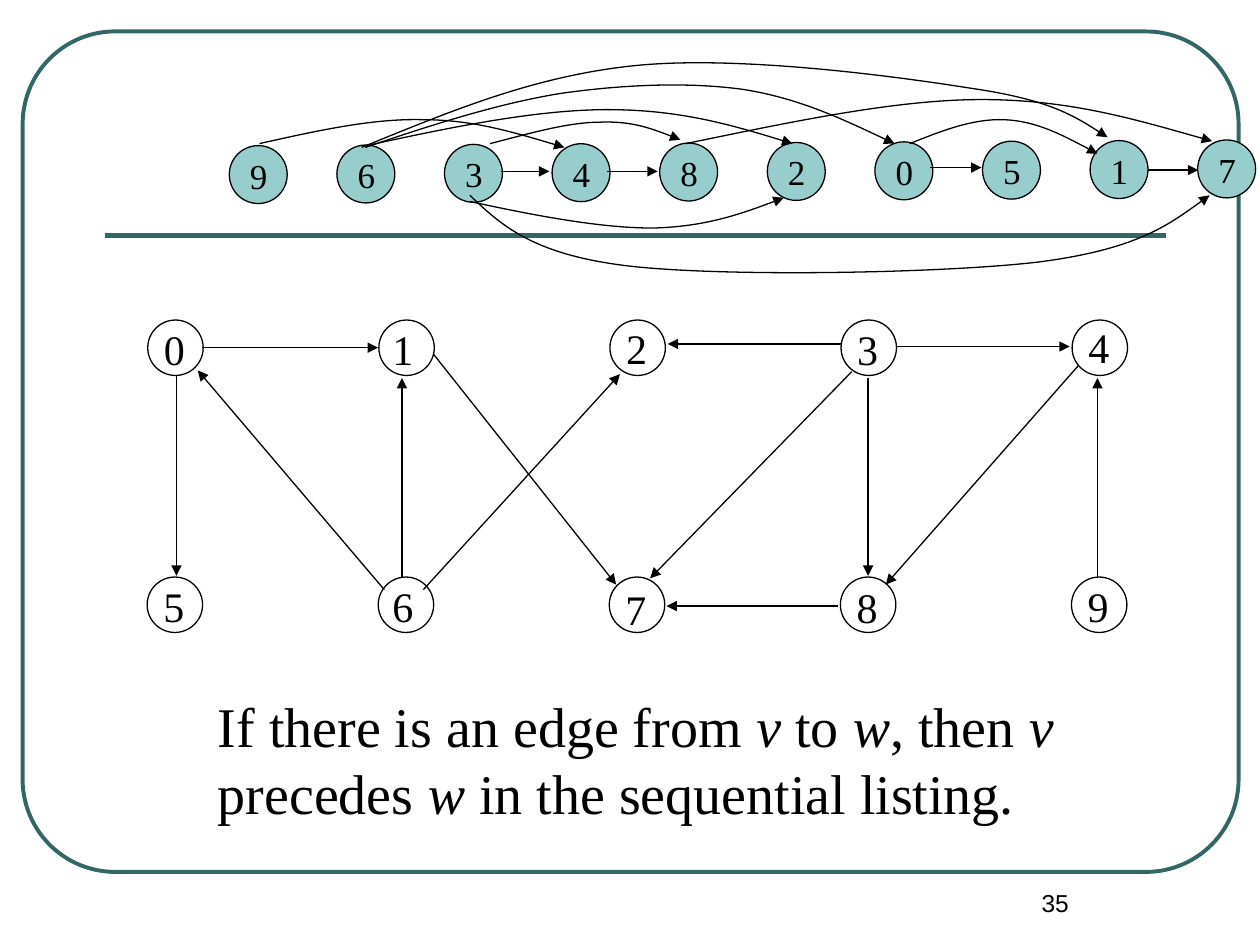
"""Build the slide showing a directed graph above which its nodes are listed in topological order."""
import pptx
import pptx.util
import pptx.dml.color
import pptx.enum.shapes
import pptx.enum.text
import pptx.oxml
import pptx.oxml.ns

COLORS = {"frame": "336666", "node": "97CDCC", "ink": "000000"}
COLS, ROWS = 1000, 750

GRAPH = ["01234", "56789"]
NUDGES = {"1": (-2, 0), "2": (0, -1), "4": (0, -2), "6": (-1.5, 0), "7": (0, 2), "8": (0, 1)}
ORDER = "9634820517"
SENTENCE = [
    ("If there is an edge from ", False), ("v", True), (" to ", False),
    ("w", True), (", then ", False), ("v", True), (" precedes ", False),
    ("w", True), (" in the sequential listing.", False),
]

GRAPH_EDGES = [
    (140, 298, 140, 457), (160, 276, 300, 276), (319, 459, 319, 300),
    (305, 468, 157, 294), (336, 468, 492, 297), (344, 281, 489, 464),
    (668, 273, 530, 273), (665, 481, 529, 481), (676, 295, 516, 459),
    (711, 275, 849, 275), (856, 290, 703, 464), (871, 459, 871, 300),
    (689, 300, 689, 457),
]
ORDER_EDGES = [
    (398, 136, 436, 136), (482, 136, 522, 136),
    (738, 133, 779, 133), (911, 135, 951, 135),
]
CURVES = [
    [(206, 114), (251, 104), (295, 94), (335, 95), (375, 95), (411, 106), (448, 117)],
    [(289, 116), (357, 101), (426, 87), (482, 87), (539, 87), (584, 100), (629, 114)],
    [(290, 117), (343, 99), (396, 82), (446, 74), (496, 67), (547, 65), (590, 71),
     (634, 78), (672, 96), (710, 114)],
    [(287, 117), (356, 89), (424, 60), (505, 52), (585, 44), (707, 60), (770, 70),
     (832, 79), (856, 94), (879, 109)],
    [(389, 114), (420, 106), (451, 97), (476, 97), (501, 96), (520, 103), (540, 111)],
    [(373, 160), (424, 171), (476, 181), (518, 181), (559, 180), (591, 169), (622, 157)],
    [(373, 155), (398, 179), (423, 202), (498, 211), (574, 220), (747, 217), (824, 208),
     (901, 198), (930, 177), (960, 155)],
    [(544, 114), (627, 97), (710, 79), (779, 79), (849, 79), (905, 96), (962, 112)],
    [(722, 114), (747, 104), (772, 94), (797, 95), (822, 96), (847, 109), (871, 122)],
]

prs = pptx.Presentation()
prs.slide_width, prs.slide_height = pptx.util.Inches(10), pptx.util.Inches(7.5)
slide = prs.slides.add_slide(prs.slide_layouts[6])
SHAPE = pptx.enum.shapes.MSO_SHAPE
qn = pptx.oxml.ns.qn


def grid(*cells):
    units = (prs.slide_width / COLS, prs.slide_height / ROWS)
    return [round(c * units[i % 2]) for i, c in enumerate(cells)]


def rgb(name):
    return pptx.dml.color.RGBColor.from_string(COLORS[name])


def element(tag, attrs=""):
    return pptx.oxml.parse_xml(f'<a:{tag} {pptx.oxml.ns.nsdecls("a")} {attrs}/>')


def set_line(s, color="ink", width=0.75, arrow=False):
    s.line.color.rgb = rgb(color)
    s.line.width = pptx.util.Pt(width)
    if arrow:
        s._element.spPr.find(qn("a:ln")).append(element("tailEnd", 'type="triangle"'))


def add_outline(shapes, kind, box, fill=None, **line):
    s = shapes.add_shape(kind, *grid(*box))
    s.shadow.inherit = False
    if fill:
        s.fill.solid()
        s.fill.fore_color.rgb = rgb(fill)
    else:
        s.fill.background()
    set_line(s, **line)
    return s


def add_straight(shapes, ends, **line):
    s = shapes.add_connector(pptx.enum.shapes.MSO_CONNECTOR.STRAIGHT, *grid(*ends))
    set_line(s, **line)
    s._element.spPr.append(element("effectLst"))


def add_curve(shapes, pts):
    builder = shapes.build_freeform(*grid(*pts[0]))
    builder.add_line_segments([grid(*p) for p in pts[1:]], close=False)
    s = builder.convert_to_shape()
    s.shadow.inherit = False
    s.fill.background()
    set_line(s, arrow=True)
    steps = list(s._element.iter(qn("a:lnTo")))
    for i in range(0, len(steps), 3):
        bend = element("cubicBezTo")
        steps[i].addprevious(bend)
        for step in steps[i:i + 3]:
            bend.append(step[0])
            step.getparent().remove(step)


def add_text(shapes, box, runs, size, name="Times New Roman", align="LEFT"):
    tf = shapes.add_textbox(*grid(*box)).text_frame
    tf.word_wrap = True
    p = tf.paragraphs[0]
    p.alignment = getattr(pptx.enum.text.PP_ALIGN, align)
    for text, italic in runs:
        r = p.add_run()
        r.text = text
        r.font.color.rgb = rgb("ink")
        style = {"size": pptx.util.Pt(size), "name": name, "italic": italic}
        for key, value in style.items():
            setattr(r.font, key, value)


shapes = slide.shapes
frame = add_outline(shapes, SHAPE.ROUNDED_RECTANGLE, (18, 25, 965, 667),
                    color="frame", width=2.25)
frame.adjustments[0] = 0.11
add_straight(shapes, (83, 187, 925, 187), color="frame", width=3)
add_text(shapes, (750, 700, 175, 50), [("35", False)], 14, "Arial", "CENTER")

nodes = [(label, 117.3 + 183.4 * col - 0.5 * row, 254 + 204 * row)
         for row, labels in enumerate(GRAPH) for col, label in enumerate(labels)]
for label, x, y in nodes:
    add_outline(shapes, SHAPE.OVAL, (x, y, 44, 44))
for ends in GRAPH_EDGES:
    add_straight(shapes, ends, arrow=True)
for label, x, y in nodes:
    dx, dy = NUDGES.get(label, (0, 0))
    add_text(shapes, (x + 3 + dx, y - 2 + dy, 43, 50), [(label, False)], 24)
add_text(shapes, (163, 544, 722, 117), SENTENCE, 32)

listing = shapes.add_group_shape().shapes
for i, label in enumerate(ORDER):
    x, y = 182 + 85.4 * i, 115.6 - 0.5 * i
    add_outline(listing, SHAPE.OVAL, (x, y, 46, 46), "node")
    add_text(listing, (x + 6.5, y + 1.8, 39, 44), [(label, False)], 20)
for ends in ORDER_EDGES:
    add_straight(listing, ends, arrow=True)
for pts in CURVES:
    add_curve(listing, pts)

prs.save("out.pptx")
